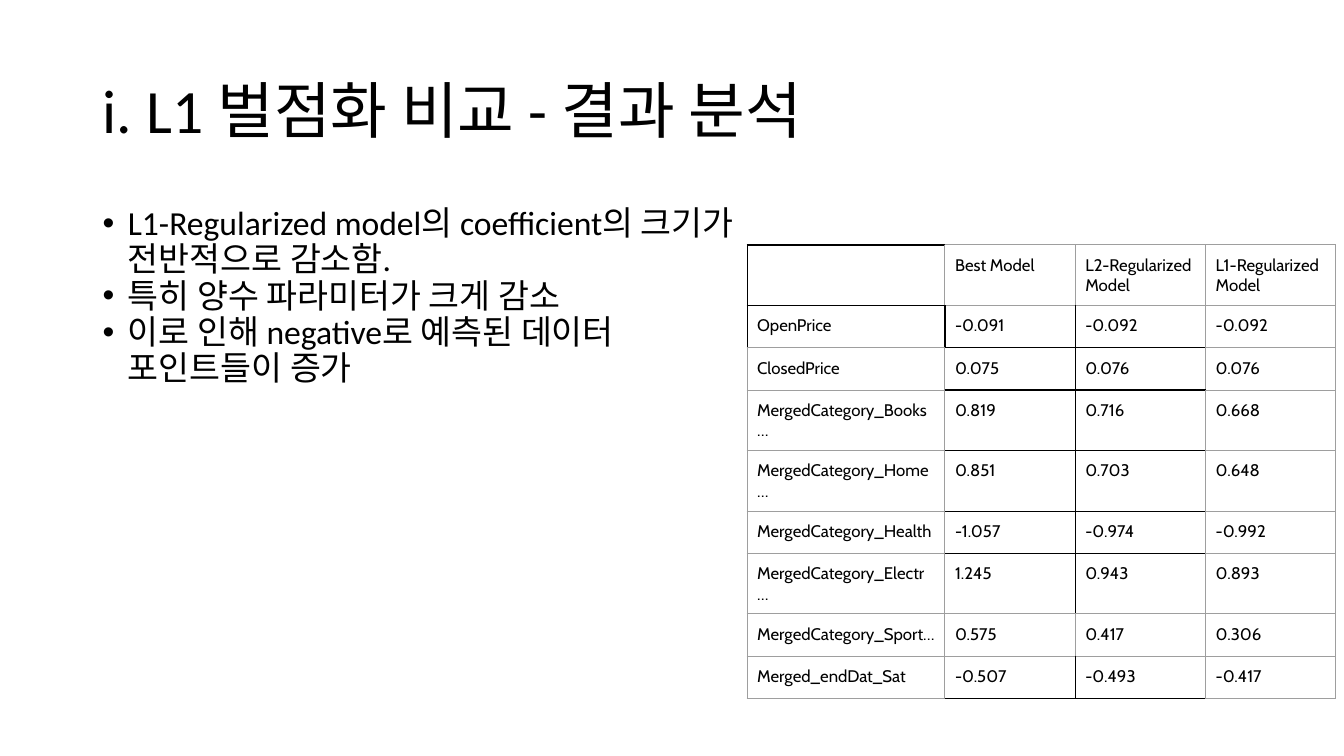
from dataclasses import dataclass

from lxml.etree import SubElement
from pptx import Presentation
from pptx.dml.color import RGBColor as Color
from pptx.enum.text import MSO_ANCHOR as Anchor
from pptx.oxml.ns import qn
from pptx.util import Emu, Inches, Pt


@dataclass(frozen=True)
class Theme:
    ink: str = "000000"
    grid: str = "9E9E9E"
    text_font: str = "Calibri"
    table_font: str = "Cabin"
    title_size: int = 44
    body_size: int = 24
    table_size: int = 12


THEME = Theme()

TITLE = "i. L1 벌점화 비교 - 결과 분석"
FINDINGS = [
    "L1-Regularized model의 coefficient의 크기가 전반적으로 감소함.",
    "특히 양수 파라미터가 크게 감소",
    "이로 인해 negative로 예측된 데이터 포인트들이 증가",
]
COEFFICIENTS = [
    ["", "Best Model", "L2-Regularized Model", "L1-Regularized Model"],
    ["OpenPrice", "-0.091", "-0.092", "-0.092"],
    ["ClosedPrice", "0.075", "0.076", "0.076"],
    ["MergedCategory_Books…", "0.819", "0.716", "0.668"],
    ["MergedCategory_Home…", "0.851", "0.703", "0.648"],
    ["MergedCategory_Health", "-1.057", "-0.974", "-0.992"],
    ["MergedCategory_Electr…", "1.245", "0.943", "0.893"],
    ["MergedCategory_Sport…", "0.575", "0.417", "0.306"],
    ["Merged_endDat_Sat", "-0.507", "-0.493", "-0.417"],
]

# Dark grid edges: (edge above row, column) and (row, edge left of column)
DARK_ACROSS = {(0, 0), (1, 0)} | {(row, col) for row in (2, 3, 4, 5, 6, 9) for col in (1, 2)}
DARK_DOWN = {(0, 0), (1, 0), (1, 1)} | {(row, 2) for row in (1, 2, 3, 4, 5, 6, 8)}


def apply(target, values):
    for name, value in values.items():
        setattr(target, name, value)


def write(para, text, font, size):
    span = para.add_run()
    span.text = text
    apply(span.font, {"name": font, "size": Pt(size)})
    span.font.color.rgb = Color.from_string(THEME.ink)


def add_text(page, box, lines, size, anchor, bullet=False):
    frame = page.shapes.add_textbox(*map(Inches, box)).text_frame
    apply(frame, {"word_wrap": True, "vertical_anchor": anchor})
    for index, line in enumerate(lines):
        para = frame.add_paragraph() if index else frame.paragraphs[0]
        para.line_spacing = 0.9
        write(para, line, THEME.text_font, size)
        if bullet:
            add_bullet(para)


def add_bullet(para):
    props = para._p.get_or_add_pPr()
    indent = Inches(0.25)
    props.set("marL", str(indent))
    props.set("indent", str(-indent))
    color = SubElement(props, qn("a:buClr"))
    SubElement(color, qn("a:srgbClr"), val=THEME.ink)
    SubElement(props, qn("a:buFont"), typeface="Arial")
    SubElement(props, qn("a:buChar"), char="•")


def add_borders(cell, row, col):
    dark_sides = {
        "L": (row, col) in DARK_DOWN,
        "R": (row, col + 1) in DARK_DOWN,
        "T": (row, col) in DARK_ACROSS,
        "B": (row + 1, col) in DARK_ACROSS,
    }
    props = cell._tc.get_or_add_tcPr()
    for side, dark in dark_sides.items():
        line = SubElement(props, qn(f"a:ln{side}"), w=str(Pt(1 if dark else 0.75)))
        fill = SubElement(line, qn("a:solidFill"))
        SubElement(fill, qn("a:srgbClr"), val=THEME.ink if dark else THEME.grid)


def add_coefficients(page, box, rows):
    left, top, width, height = map(Inches, box)
    table = page.shapes.add_table(len(rows), len(rows[0]), left, top, width, height).table
    apply(table, {"first_row": False, "horz_banding": False})
    # The label column takes a third, the models share the rest
    label_width = Emu(int(width * 0.336))
    model_width = Emu((width - label_width) // (len(rows[0]) - 1))
    for col, column in enumerate(table.columns):
        column.width = model_width if col else label_width
    margins = {f"margin_{side}": Inches(0.1) for side in ("left", "right", "top", "bottom")}
    for row, values in enumerate(rows):
        for col, value in enumerate(values):
            cell = table.cell(row, col)
            apply(cell, margins)
            add_borders(cell, row, col)
            cell.fill.background()
            if value:
                write(cell.text_frame.paragraphs[0], value, THEME.table_font, THEME.table_size)


def main():
    deck = Presentation()
    apply(deck, {"slide_width": Inches(13.33), "slide_height": Inches(7.5)})
    page = deck.slides.add_slide(deck.slide_layouts[6])
    # Title across the top
    add_text(page, (0.92, 0.4, 11.5, 1.45), [TITLE], THEME.title_size, Anchor.MIDDLE)
    # Coefficient table on the right
    add_coefficients(page, (7.41, 2.43, 5.84, 0.42 * len(COEFFICIENTS)), COEFFICIENTS)
    # Findings on the left
    add_text(page, (0.92, 2, 6.5, 4.89), FINDINGS, THEME.body_size, Anchor.TOP, bullet=True)
    deck.save("out.pptx")


if __name__ == "__main__":
    main()
